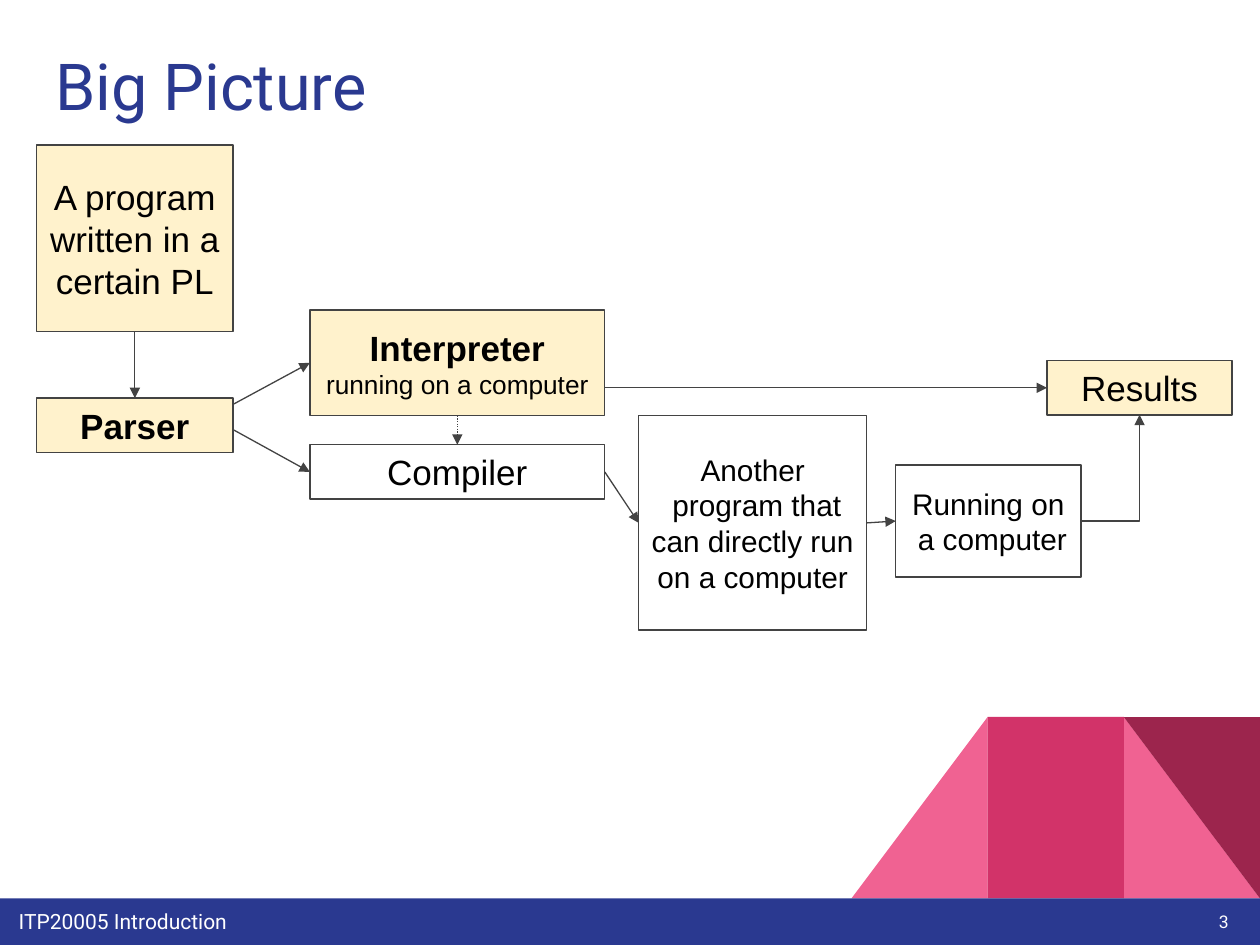
from lxml.etree import SubElement
from pptx import Presentation
from pptx.dml.color import RGBColor
from pptx.enum.dml import MSO_LINE
from pptx.enum.shapes import MSO_CONNECTOR, MSO_SHAPE
from pptx.enum.text import MSO_ANCHOR, PP_ALIGN
from pptx.oxml.ns import qn
from pptx.util import Pt

COLORS = {
    "navy": "2A3990", "pink": "F06292", "rose": "D23369", "wine": "9C254D",
    "cream": "FFF2CC", "outline": "434343", "black": "000000", "white": "FFFFFF",
}
TOP, LEFT, BOTTOM, RIGHT = range(4)


def color(name):
    return RGBColor.from_string(COLORS[name])


def write(shape, lines, font, ink, align, anchor):
    """Fill a shape with one paragraph; each line is a list of (text, size, bold) runs."""
    frame = shape.text_frame
    frame.word_wrap = True
    frame.vertical_anchor = anchor
    frame.margin_left = frame.margin_right = Pt(7.2)
    frame.margin_top = frame.margin_bottom = Pt(7.2)
    paragraph = frame.paragraphs[0]
    paragraph.alignment = align
    for index, runs in enumerate(lines):
        if index:
            paragraph.add_line_break()
        for text, size, bold in runs:
            run = paragraph.add_run()
            run.text = text
            run.font.name = font
            run.font.size = Pt(size)
            run.font.bold = bold
            run.font.color.rgb = color(ink)


presentation = Presentation()
presentation.slide_width = Pt(720)
presentation.slide_height = Pt(540)
slide = presentation.slides.add_slide(presentation.slide_layouts[6])
shapes = slide.shapes

# Corner decoration and footer bar
band, band_top, bar_top = 77.8, 409.7, 513.4
band_height = bar_top - band_top
decoration = [
    (MSO_SHAPE.RIGHT_TRIANGLE, 720 - band, "pink", 0, False),
    (MSO_SHAPE.RIGHT_TRIANGLE, 720 - 3 * band, "pink", 0, True),
    (MSO_SHAPE.RECTANGLE, 720 - 2 * band, "rose", 0, False),
    (MSO_SHAPE.RIGHT_TRIANGLE, 720 - band, "wine", 180, False),
]
pieces = []
for kind, left, fill, rotation, mirrored in decoration:
    shape = shapes.add_shape(kind, Pt(left), Pt(band_top), Pt(band), Pt(band_height))
    shape.rotation = rotation
    if mirrored:
        shape.element.spPr.find(qn("a:xfrm")).set("flipH", "1")
    pieces.append((shape, fill))
bar = shapes.add_shape(MSO_SHAPE.RECTANGLE, 0, Pt(bar_top), Pt(720), Pt(540 - bar_top))
pieces.append((bar, "navy"))
for shape, fill in pieces:
    shape.shadow.inherit = False
    shape.fill.solid()
    shape.fill.fore_color.rgb = color(fill)
    shape.line.fill.background()

# Footer, title and slide number
labels = [
    ("ITP20005 Introduction", (3.6, 511.9, 529.2, 25.9), 12, "white", PP_ALIGN.LEFT, MSO_ANCHOR.TOP),
    ("Big Picture", (24.5, 18.7, 671, 64.1), 37, "navy", PP_ALIGN.LEFT, MSO_ANCHOR.TOP),
    ("3", (666, 506.2, 43.2, 41), 10, "white", PP_ALIGN.RIGHT, MSO_ANCHOR.MIDDLE),
]
for text, place, size, ink, align, anchor in labels:
    label = shapes.add_textbox(*map(Pt, place))
    write(label, [[(text, size, False)]], "Roboto", ink, align, anchor)

# Boxes of the flow
box_specs = {
    "interpreter": ((177.1, 177.1, 168.5, 60.5), "cream",
                    [[("Interpreter ", 20, True), ("running on a computer", 15, False)]]),
    "compiler": ((177.1, 254.2, 168.5, 31), None, [[("Compiler", 20, False)]]),
    "program": ((20.9, 82.8, 112.3, 106.6), "cream",
                [[("A program written in a certain PL", 20, False)]]),
    "output": ((365, 237.6, 130.3, 122.4), None,
               [[("Another", 17, False)],
                [(" program that can directly run on a computer", 17, False)]]),
    "running": ((511.9, 265.7, 105.8, 64.1), None,
                [[("Running on", 17, False)], [(" a computer", 17, False)]]),
    "results": ((598.3, 206.1, 105.8, 31), "cream", [[("Results", 20, False)]]),
    "parser": ((20.9, 227.5, 112.3, 31), "cream", [[("Parser", 20, True)]]),
}
boxes = {}
for name, (place, fill, lines) in box_specs.items():
    box = shapes.add_shape(MSO_SHAPE.RECTANGLE, *map(Pt, place))
    box.shadow.inherit = False
    if fill:
        box.fill.solid()
        box.fill.fore_color.rgb = color(fill)
    else:
        box.fill.background()
    box.line.color.rgb = color("outline")
    box.line.width = Pt(0.75)
    write(box, lines, "Arial", "black", PP_ALIGN.CENTER, MSO_ANCHOR.MIDDLE)
    boxes[name] = box

# Arrows: start is (box, side) or a free (x, y) point; end is (box, side)
STRAIGHT, ELBOW = MSO_CONNECTOR.STRAIGHT, MSO_CONNECTOR.ELBOW
arrows = [
    (STRAIGHT, (133.2, 231.1), ("interpreter", LEFT), None),
    (STRAIGHT, (133.2, 245.5), ("compiler", LEFT), None),
    (STRAIGHT, ("compiler", RIGHT), ("output", LEFT), None),
    (STRAIGHT, ("output", RIGHT), ("running", LEFT), None),
    (STRAIGHT, ("interpreter", BOTTOM), ("compiler", TOP), MSO_LINE.ROUND_DOT),
    (STRAIGHT, ("program", BOTTOM), ("parser", TOP), None),
    (STRAIGHT, (345.6, 221.6), ("results", LEFT), None),
    (ELBOW, ("running", RIGHT), ("results", BOTTOM), None),
]
for kind, start, (target, side), dash in arrows:
    arrow = shapes.add_connector(kind, 0, 0, 0, 0)
    if start[0] in boxes:
        arrow.begin_connect(boxes[start[0]], start[1])
    else:
        arrow.begin_x, arrow.begin_y = map(Pt, start)
    arrow.end_connect(boxes[target], side)
    arrow.line.color.rgb = color("outline")
    arrow.line.width = Pt(0.75)
    if dash:
        arrow.line.dash_style = dash
    properties = arrow.element.spPr
    if kind == ELBOW:
        # A single bend: across, then up
        properties.find(qn("a:prstGeom")).set("prst", "bentConnector2")
    SubElement(properties.find(qn("a:ln")), qn("a:tailEnd")).set("type", "triangle")
    SubElement(properties, qn("a:effectLst"))

presentation.save("out.pptx")
